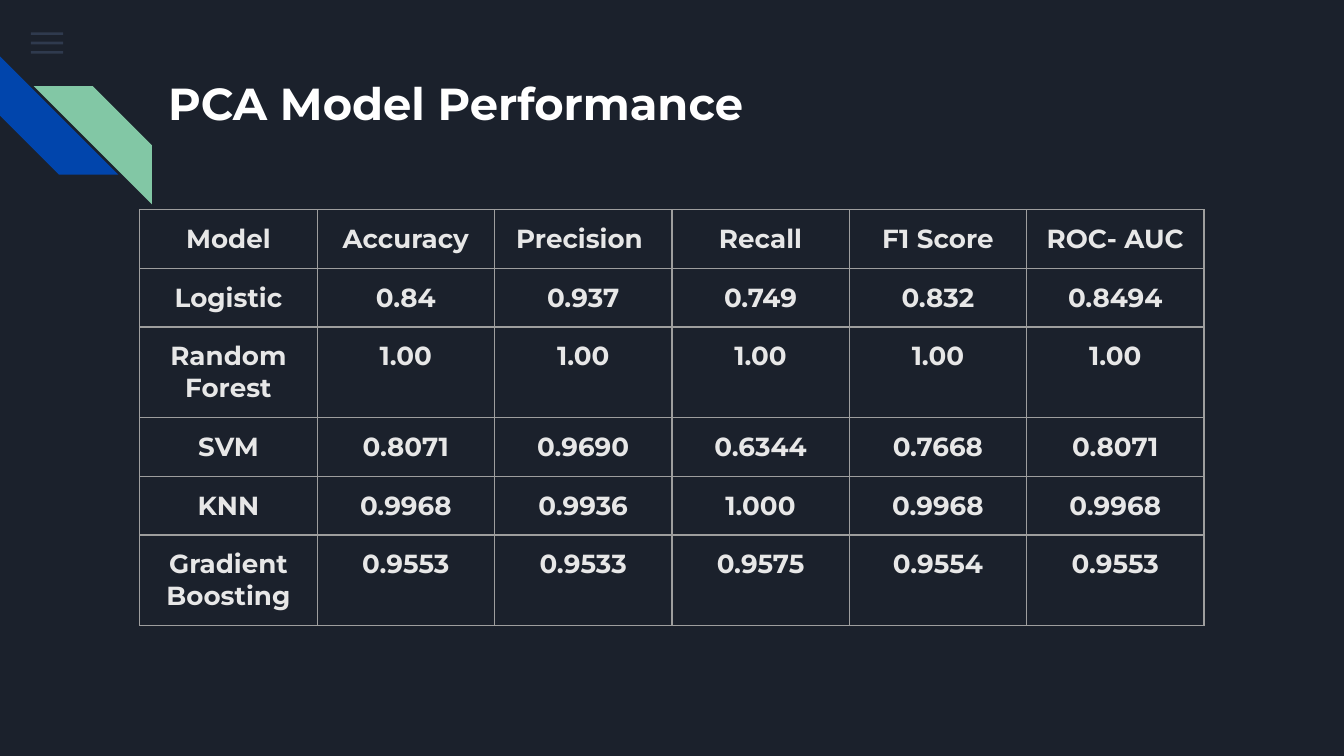
from lxml import etree
from pptx import Presentation
from pptx.dml.color import RGBColor
from pptx.enum.shapes import MSO_SHAPE
from pptx.enum.text import MSO_ANCHOR, MSO_AUTO_SIZE, PP_ALIGN
from pptx.oxml.ns import qn
from pptx.util import Inches, Pt

RECTANGLE = MSO_SHAPE.RECTANGLE
STRIPE = MSO_SHAPE.DIAGONAL_STRIPE
TOP = MSO_ANCHOR.TOP
LEFT, CENTER = PP_ALIGN.LEFT, PP_ALIGN.CENTER
NO_AUTOFIT = MSO_AUTO_SIZE.NONE

BACKGROUND = RGBColor(0x1B, 0x21, 0x2C)
MENU = RGBColor(0x55, 0x68, 0x8B)
BLUE = RGBColor(0x01, 0x45, 0xAC)
GREEN = RGBColor(0x82, 0xC7, 0xA5)
WHITE = RGBColor(0xFF, 0xFF, 0xFF)
CELL_TEXT = RGBColor(0xE7, 0xE7, 0xE7)
BORDER = RGBColor(0x9E, 0x9E, 0x9E)
FONT = "Montserrat"

TITLE = "PCA Model Performance"
ROWS = [
    ("Model", "Accuracy", "Precision ", "Recall", "F1 Score", "ROC- AUC"),
    ("Logistic", "0.84", "0.937", "0.749", "0.832", "0.8494"),
    ("Random Forest", "1.00", "1.00", "1.00", "1.00", "1.00"),
    ("SVM", "0.8071", "0.9690", "0.6344", "0.7668", "0.8071"),
    ("KNN", "0.9968", "0.9936", "1.000", "0.9968", "0.9968"),
    ("Gradient Boosting", "0.9553", "0.9533", "0.9575", "0.9554", "0.9553"),
]
SLIDE_WIDTH = 10
SLIDE_HEIGHT = SLIDE_WIDTH * 9 / 16
COLUMN_WIDTH, ROW_HEIGHT = 1.32, 0.42
MENU_BARS, MENU_TOP, MENU_STEP = 3, 0.24, 0.07
STRIPE_SIZE = 0.88


def add_plain_shape(slide, kind, left, top, width, height, color):
    shape = slide.shapes.add_shape(
        kind, Inches(left), Inches(top), Inches(width), Inches(height))
    shape.shadow.inherit = False
    shape.fill.solid()
    shape.fill.fore_color.rgb = color
    shape.line.fill.background()
    return shape


def style_text(frame, size, color, alignment):
    paragraph = frame.paragraphs[0]
    paragraph.alignment = alignment
    for span in paragraph.runs:
        span.font.name = FONT
        span.font.size = Pt(size)
        span.font.bold = True
        span.font.color.rgb = color


def set_margins(box):
    box.margin_left = box.margin_right = Inches(0.1)
    box.margin_top = box.margin_bottom = Inches(0.1)


def add_borders(cell):
    properties = cell._tc.get_or_add_tcPr()
    for side in ("a:lnL", "a:lnR", "a:lnT", "a:lnB"):
        line = etree.SubElement(properties, qn(side), w=str(Pt(0.75)))
        fill = etree.SubElement(line, qn("a:solidFill"))
        etree.SubElement(fill, qn("a:srgbClr"), val=str(BORDER))


deck = Presentation()
deck.slide_width, deck.slide_height = Inches(SLIDE_WIDTH), Inches(SLIDE_HEIGHT)
slide = deck.slides.add_slide(deck.slide_layouts[5])
slide.background.fill.solid()
slide.background.fill.fore_color.rgb = BACKGROUND

for index in range(MENU_BARS):
    bar = add_plain_shape(slide, RECTANGLE, 0.23, MENU_TOP + index * MENU_STEP,
                          0.24, 0.02, MENU)
    color = bar._element.spPr.find(".//" + qn("a:srgbClr"))
    etree.SubElement(color, qn("a:alpha"), val="36000")

blue_stripe = add_plain_shape(slide, STRIPE, 0, 0.42, STRIPE_SIZE, STRIPE_SIZE, BLUE)
blue_stripe.rotation = 270
green_stripe = add_plain_shape(slide, STRIPE, 0.25, 0.64, STRIPE_SIZE, STRIPE_SIZE, GREEN)
green_stripe._element.spPr.get_or_add_xfrm().set("flipH", "1")

title = slide.shapes.title
title.left, title.top = Inches(1.15), Inches(0.46)
title.width, title.height = Inches(7.7), Inches(0.61)
frame = title.text_frame
frame.text = TITLE
frame.word_wrap = True
frame.auto_size = NO_AUTOFIT
frame.vertical_anchor = TOP
set_margins(frame)
style_text(frame, 24, WHITE, LEFT)

table = slide.shapes.add_table(
    len(ROWS), len(ROWS[0]), Inches(1.04), Inches(1.56),
    Inches(COLUMN_WIDTH * len(ROWS[0])), Inches(ROW_HEIGHT * len(ROWS))).table
table.first_row = table.horz_banding = False
for row_index, values in enumerate(ROWS):
    for column_index, value in enumerate(values):
        cell = table.cell(row_index, column_index)
        cell.text_frame.text = value
        set_margins(cell)
        style_text(cell.text_frame, 14, CELL_TEXT, CENTER)
        add_borders(cell)
        cell.fill.background()

deck.save("out.pptx")
